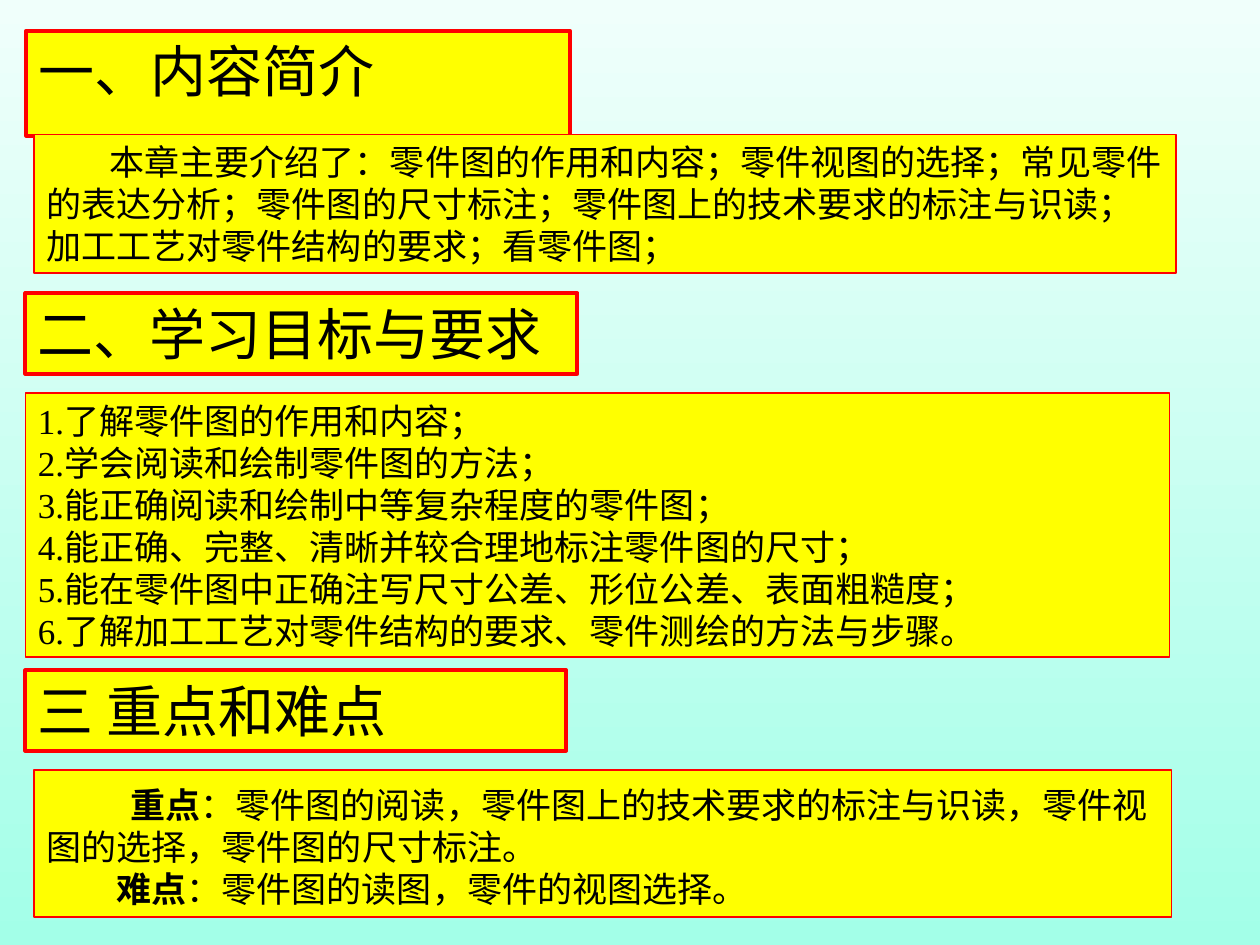
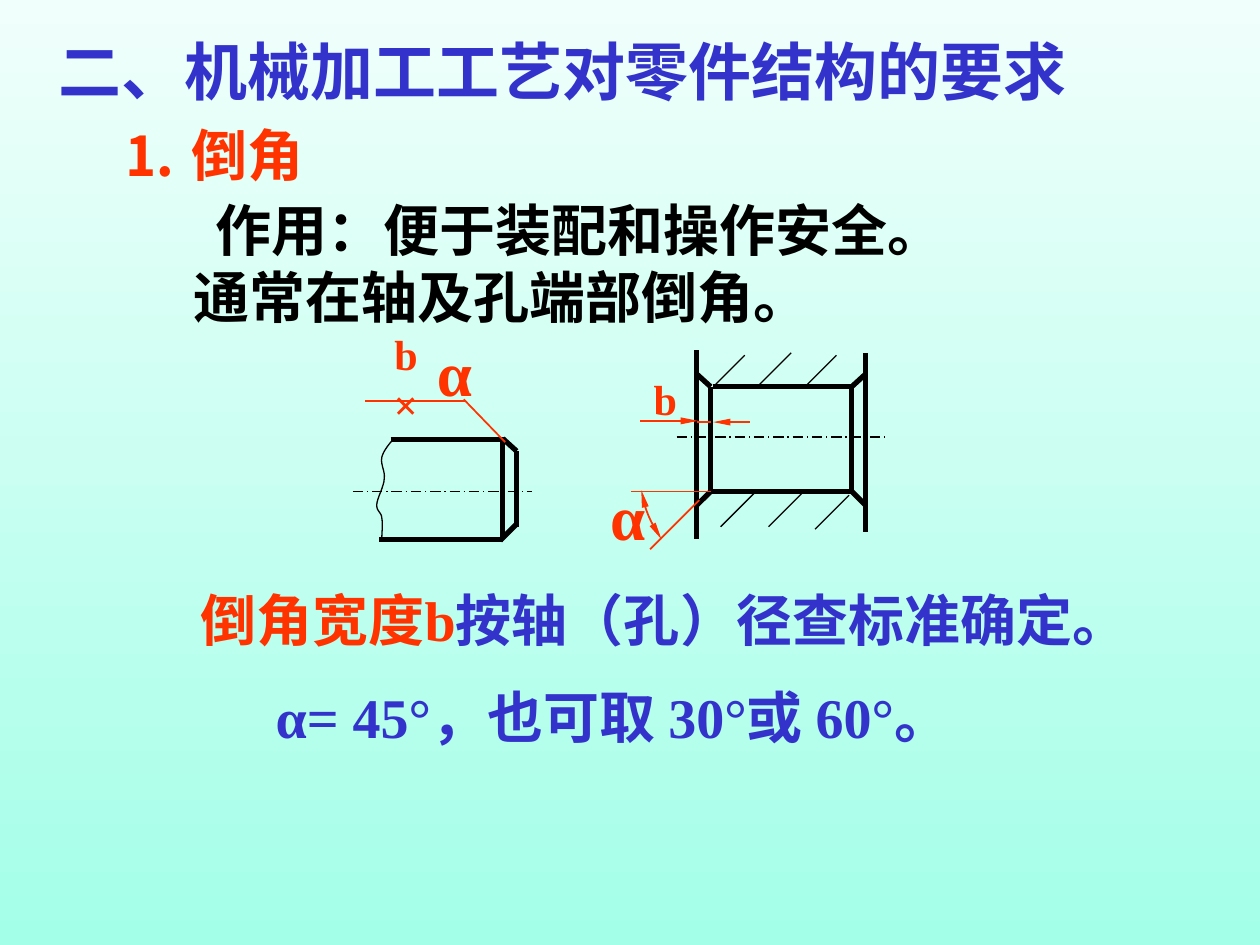
from lxml.etree import SubElement
from pptx import Presentation
from pptx.dml.color import RGBColor
from pptx.enum.dml import MSO_LINE
from pptx.enum.shapes import MSO_CONNECTOR
from pptx.enum.text import MSO_ANCHOR, MSO_AUTO_SIZE, PP_ALIGN
from pptx.oxml.ns import qn
from pptx.util import Pt

COLORS = {
    "sky_top": "F0FFFB", "sky_bottom": "A3FFE8", "panel": "FFFF00",
    "border": "FF0000", "ink": "000000", "accent": "FF3300", "blue": "3333CC",
}
FONT = "Times New Roman"

# Chapter overview: box, then paragraphs of (first-line indent, [(text, bold)])
HEADINGS = [
    ((15, 17.5, 310.5, 46), "一、内容简介"),
    ((14.5, 167.5, 315.5, 46), "二、学习目标与要求"),
    ((14.5, 383, 309, 46), "三 重点和难点"),
]
GOALS = [
    "1.了解零件图的作用和内容；",
    "2.学会阅读和绘制零件图的方法；",
    "3.能正确阅读和绘制中等复杂程度的零件图；",
    "4.能正确、完整、清晰并较合理地标注零件图的尺寸；",
    "5.能在零件图中正确注写尺寸公差、形位公差、表面粗糙度；",
    "6.了解加工工艺对零件结构的要求、零件测绘的方法与步骤。",
]
PANELS = [
    ((19.5, 77, 652.5, 79), 3.6, [
        (36, [("本章主要介绍了：零件图的作用和内容；零件视图的选择；常见零件的表达分析；"
               "零件图的尺寸标注；零件图上的技术要求的标注与识读；"
               "加工工艺对零件结构的要求；看零件图；", False)])]),
    ((14.5, 224.5, 654, 151), 3.6, [(0, [(goal, False)]) for goal in GOALS]),
    ((19.5, 440, 650, 84), 7.5, [
        (48, [("重点", True), ("：零件图的阅读，零件图上的技术要求的标注与识读，"
                               "零件视图的选择，零件图的尺寸标注。", False)]),
        (40, [("难点", True), ("：零件图的读图，零件的视图选择。", False)])]),
]

# Chamfer slide: box, size, centred, [(text, colour)]
CHAMFER_TITLE = ((26.5, 15, 617, 50.5), "二、机械加工工艺对零件结构的要求")
CHAMFER_TEXTS = [
    ((62, 65, 119.5, 46), 32, True, [("⒈ 倒角", "accent")]),
    ((100, 108, 430.5, 46), 32, True, [("作用：便于装配和操作安全。", "ink")]),
    ((103.5, 146, 388, 46), 32, False, [("通常在轴及孔端部倒角。", "ink")]),
    ((211.5, 198.5, 41, 36), 24, True, [("b×", "accent")]),
    ((242.5, 187, 34.5, 50.5), 36, True, [("α", "accent")]),
    ((366.5, 210, 27.5, 36), 24, True, [("b", "accent")]),
    ((341.5, 269.5, 34.5, 50.5), 36, True, [("α", "accent")]),
    ((107.5, 330.5, 560, 46), 32, False,
     [("倒角宽度b", "accent"), ("按轴（孔）径查标准确定。", "blue")]),
    ((131, 386, 438.5, 46), 32, True, [("α= 45°，也可取 30°或 60°。", "blue")]),
]

# Line styles: colour, width, dash
LINE_STYLES = {
    "outline": ("ink", 3, None),
    "thin": ("ink", 0.75, None),
    "axis": ("ink", 0.75, MSO_LINE.LONG_DASH_DOT),
    "dimension": ("accent", 1, None),
}
SHAFT = [
    (223.2, 251.3, 288.7, 251.3), (287.3, 251.3, 287.3, 308.2),
    (287.3, 308.2, 216.7, 308.2), (287.3, 250.6, 295.2, 257.8),
    (295.2, 257.8, 295.2, 301), (295.2, 299.5, 285.8, 308.9),
]
AXES = [(201.6, 280.8, 303.8, 280.8), (386.6, 249.8, 507.6, 249.8)]
# Hole sides: wall x, wall top, wall bottom, bore x
HOLE_SIDES = [(398.2, 200.2, 308.2, 406.1), (494.6, 201.6, 303.8, 486.7)]
# Hole ends: bore y, chamfer end y, line start x
HOLE_ENDS = [(221, 213.8, 407.5), (280.8, 288.7, 406.1)]
# 45° hatching: lower-left x, lower-left y, run
HATCHES = [
    (409, 219.6, 16.6), (432.7, 221, 19.4), (460, 221, 18),
    (411.8, 301, 19.5), (439.2, 301, 21), (465.8, 302.4, 19.4),
]
DIMENSIONS = [
    ((288.7, 252.7, 265, 228.2), ()), ((208.8, 229, 265.7, 229), ()),
    ((365.8, 240.5, 398.9, 240.5), ("tailEnd",)),
    ((398.2, 241.2, 406.1, 241.2), ()),
    ((407.5, 241.2, 428.4, 241.2), ("headEnd",)),
    ((399.6, 285.8, 371.5, 313.9), ()), ((406.1, 280.8, 360.7, 280.8), ()),
]
# Bézier curves: start, then groups of two handles and an end
BREAK_CURVE = [
    (224.6, 251.3), (223.2, 252.7), (218.9, 257.8), (218.2, 261.4),
    (217.4, 265.7), (220.3, 269.3), (219.6, 273.6),
    (219.6, 277.9), (215.3, 285.1), (215.3, 288.7),
    (215.3, 292.3), (218.2, 293), (218.2, 295.9),
    (218.9, 299.5), (218.2, 305.3), (218.2, 308.2),
]
ANGLE_CURVE = [(378, 308.2), (372.2, 299.5), (367.9, 290.2), (366.5, 280.1)]


def color(name):
    return RGBColor.from_string(COLORS[name])


def lengths(values):
    return [Pt(value) for value in values]


def add_run(paragraph, text, size, color_name, bold):
    run = paragraph.add_run()
    run.text = text
    formats = {"name": FONT, "size": Pt(size), "bold": bold}
    for key, value in formats.items():
        setattr(run.font, key, value)
    run.font.color.rgb = color(color_name)


def format_frame(shape, anchor, wrap=True, top=3.6):
    frame = shape.text_frame
    formats = {
        "auto_size": MSO_AUTO_SIZE.SHAPE_TO_FIT_TEXT, "word_wrap": wrap,
        "vertical_anchor": anchor, "margin_left": Pt(7.2), "margin_right": Pt(7.2),
        "margin_top": Pt(top), "margin_bottom": Pt(3.6),
    }
    for key, value in formats.items():
        setattr(frame, key, value)
    return frame


def place(shape, box):
    for key, value in zip(("left", "top", "width", "height"), lengths(box)):
        setattr(shape, key, value)


def add_title_slide(presentation, box, text, size, color_name, bold, anchor):
    slide = presentation.slides.add_slide(presentation.slide_layouts[5])
    title = slide.shapes.title
    place(title, box)
    paragraph = format_frame(title, anchor).paragraphs[0]
    paragraph.alignment = PP_ALIGN.LEFT
    add_run(paragraph, text, size, color_name, bold)
    return slide


def paint_panel(shape, line_width):
    shape.fill.solid()
    shape.fill.fore_color.rgb = color("panel")
    shape.line.color.rgb = color("border")
    shape.line.width = Pt(line_width)


def add_panel(slide, box, line_width, size, paragraphs, top=3.6):
    shape = slide.shapes.add_shape(1, *lengths(box))
    shape.shadow.inherit = False
    paint_panel(shape, line_width)
    frame = format_frame(shape, MSO_ANCHOR.TOP, top=top)
    for index, (indent, runs) in enumerate(paragraphs):
        paragraph = frame.add_paragraph() if index else frame.paragraphs[0]
        paragraph.alignment = PP_ALIGN.LEFT
        if indent:
            paragraph._p.get_or_add_pPr().set("indent", str(Pt(indent)))
        for text, bold in runs:
            add_run(paragraph, text, size, "ink", bold)


def style_line(shape, style, arrows=()):
    color_name, width, dash = LINE_STYLES[style]
    shape.line.color.rgb = color(color_name)
    shape.line.width = Pt(width)
    if dash:
        shape.line.dash_style = dash
    outline = shape._element.spPr.find(qn("a:ln"))
    for end in arrows:
        SubElement(outline, qn(f"a:{end}"), type="triangle", w="sm", len="lg")


def add_line(slide, ends, style, arrows=()):
    line = slide.shapes.add_connector(MSO_CONNECTOR.STRAIGHT, *lengths(ends))
    style_line(line, style, arrows)
    SubElement(line._element.spPr, qn("a:effectLst"))


def add_curve(slide, points, style, arrows=(), steps=8):
    samples = []
    for start in range(0, len(points) - 1, 3):
        segment = points[start:start + 4]
        for step in range(1, steps + 1):
            t = step / steps
            weights = ((1 - t) ** 3, 3 * t * (1 - t) ** 2, 3 * t * t * (1 - t), t ** 3)
            samples.append([Pt(sum(weight * point[axis] for weight, point
                                   in zip(weights, segment))) for axis in (0, 1)])
    builder = slide.shapes.build_freeform(*lengths(points[0]))
    builder.add_line_segments(samples, close=False)
    curve = builder.convert_to_shape()
    curve.shadow.inherit = False
    curve.fill.background()
    style_line(curve, style, arrows)


def build_overview(presentation):
    (box, text), *others = HEADINGS
    slide = add_title_slide(presentation, box, text, 32, "ink", False, MSO_ANCHOR.TOP)
    paint_panel(slide.shapes.title, 2.25)
    for box, text in others:
        add_panel(slide, box, 2.25, 32, [(0, [(text, False)])])
    for box, top, paragraphs in PANELS:
        add_panel(slide, box, 0.75, 20, paragraphs, top)


def draw_hole(slide):
    bore_left, bore_right = [side[3] for side in HOLE_SIDES]
    bore_top, bore_bottom = [end[0] for end in HOLE_ENDS]
    for wall, top, bottom, bore in HOLE_SIDES:
        add_line(slide, (wall, top, wall, bottom), "outline")
        add_line(slide, (bore, bore_top, bore, bore_bottom), "outline")
        for edge, chamfer, _ in HOLE_ENDS:
            add_line(slide, (bore, edge, wall, chamfer), "outline")
    for edge, _, start in HOLE_ENDS:
        add_line(slide, (start, edge, bore_right + 1.5, edge), "outline")
    for x, y, run in HATCHES:
        add_line(slide, (x, y, x + run, y - run), "thin")


def build_chamfer(presentation):
    slide = add_title_slide(presentation, *CHAMFER_TITLE, 36, "blue", True,
                            MSO_ANCHOR.MIDDLE)
    # Shaft and hole
    for ends in AXES:
        add_line(slide, ends, "axis")
    for ends in SHAFT:
        add_line(slide, ends, "outline")
    add_curve(slide, BREAK_CURVE, "thin")
    draw_hole(slide)
    # Dimensions
    for ends, arrows in DIMENSIONS:
        add_line(slide, ends, "dimension", arrows)
    add_curve(slide, ANGLE_CURVE, "dimension", ("headEnd", "tailEnd"))
    # Wording
    for box, size, centred, runs in CHAMFER_TEXTS:
        shape = slide.shapes.add_textbox(*lengths(box))
        paragraph = format_frame(shape, MSO_ANCHOR.MIDDLE, wrap=False).paragraphs[0]
        paragraph.alignment = PP_ALIGN.CENTER if centred else PP_ALIGN.LEFT
        for text, color_name in runs:
            add_run(paragraph, text, size, color_name, True)


def main():
    presentation = Presentation()
    presentation.slide_width, presentation.slide_height = Pt(720), Pt(540)
    # Shared background
    fill = presentation.slide_master.background.fill
    fill.gradient()
    fill.gradient_angle = 270
    for stop, name in zip(fill.gradient_stops, ("sky_top", "sky_bottom")):
        stop.color.rgb = color(name)
    build_overview(presentation)
    build_chamfer(presentation)
    presentation.save("out.pptx")


if __name__ == "__main__":
    main()
